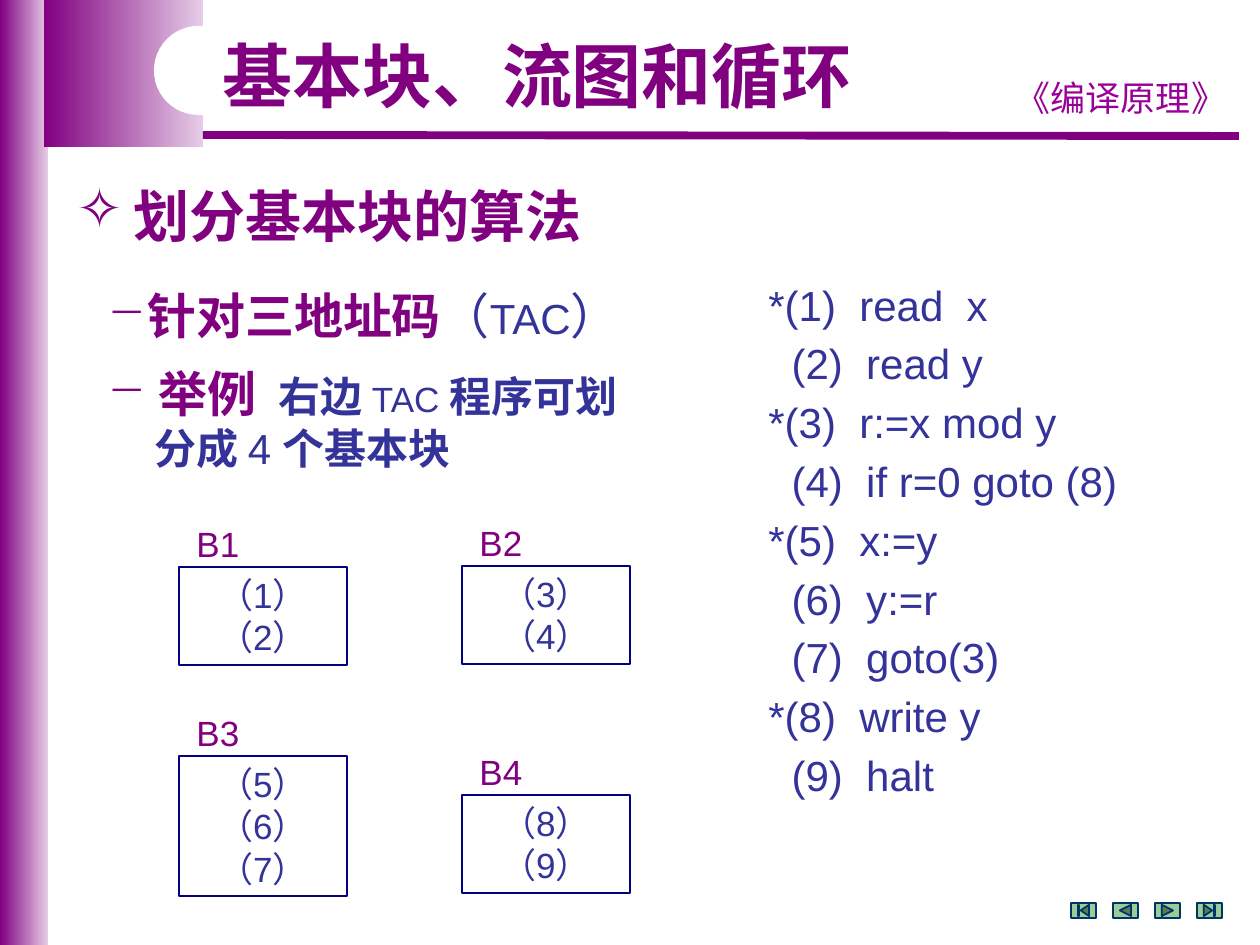
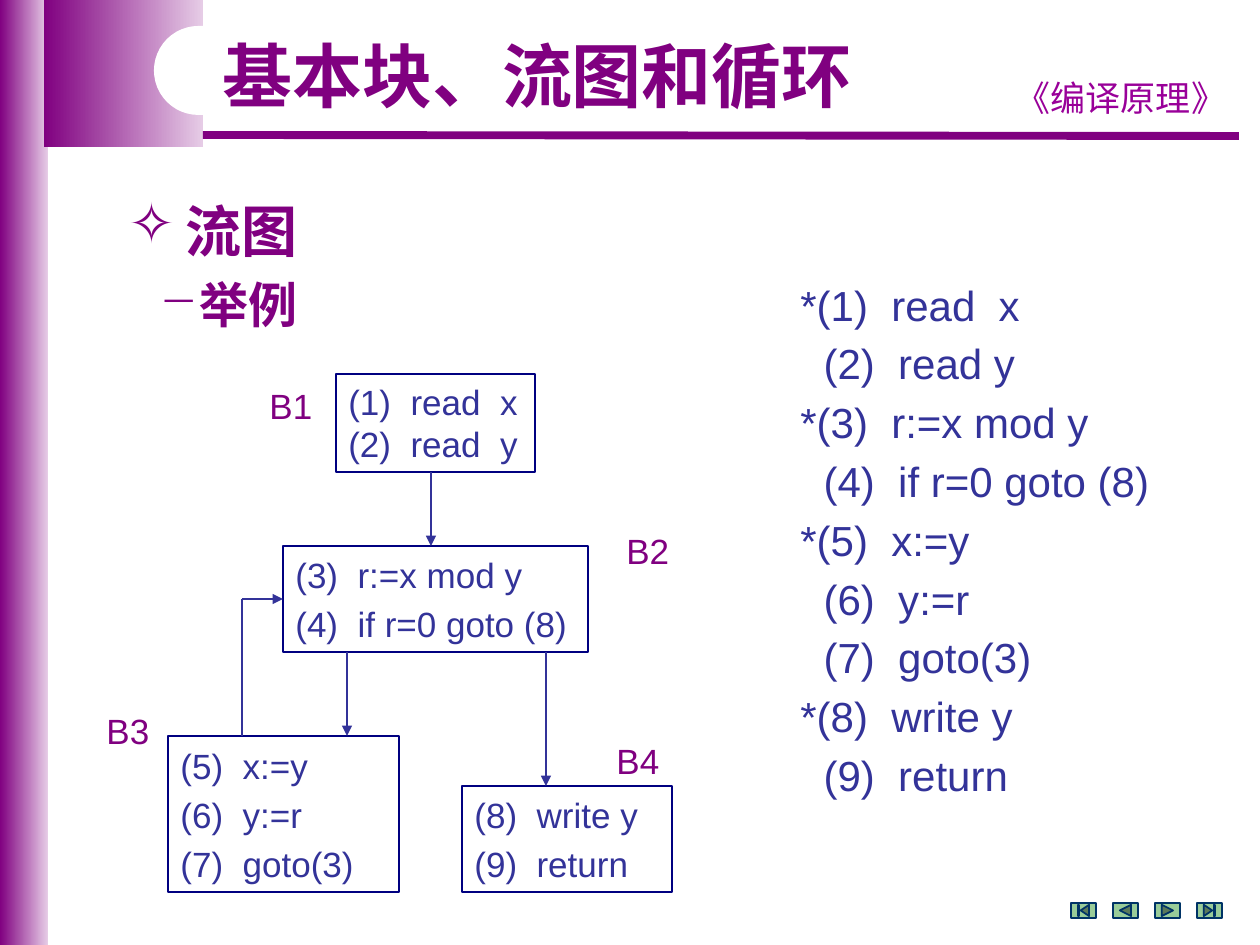
from lxml import etree
from pptx import Presentation
from pptx import util as u
from pptx.dml.color import RGBColor
from pptx.enum import shapes, text
from pptx.oxml import ns

SCALE = 914400 / 126
PURPLE = RGBColor(0x80, 0x00, 0x80)
LILAC = RGBColor(0xE6, 0xCC, 0xE6)
MAGENTA = RGBColor(0x99, 0x00, 0x99)
BLUE = RGBColor(0x33, 0x33, 0x99)
NAVY = RGBColor(0x00, 0x00, 0x80)
TEAL = RGBColor(0x00, 0x33, 0x66)
GREEN = RGBColor(0x99, 0xCC, 0x99)
WHITE = RGBColor(0xFF, 0xFF, 0xFF)
CJK = "Noto Sans CJK SC"

TITLE = dict(size=40, name="Arial", bold=True, color=PURPLE)
COURSE = dict(size=20, name="Comic Neue", color=MAGENTA)
HEAD = dict(size=32, name=CJK, bold=True, color=PURPLE)
ITEM = dict(HEAD, size=28)
CODE = dict(size=24, name="Arial", color=BLUE)
BOLD = dict(CODE, bold=True)
CELL = dict(CODE, size=20)
LABEL = dict(CELL, color=PURPLE)

KIND = shapes.MSO_SHAPE
BUTTONS = (KIND.ACTION_BUTTON_BEGINNING, KIND.ACTION_BUTTON_BACK_OR_PREVIOUS,
           KIND.ACTION_BUTTON_FORWARD_OR_NEXT, KIND.ACTION_BUTTON_END)
STEPS = ["*(1)  read  x", "  (2)  read y", "*(3)  r:=x mod y",
         "  (4)  if r=0 goto (8)", "*(5)  x:=y", "  (6)  y:=r",
         "  (7)  goto(3)", "*(8)  write y"]


def px(*vals):
    return [u.Emu(round(v * SCALE)) for v in vals]


def sub(node, tag, **attrs):
    return etree.SubElement(node, ns.qn("a:" + tag), attrs)


class Deck:
    def __init__(self):
        self.prs = Presentation()
        self.prs.slide_width, self.prs.slide_height = px(1260, 945)

    def para(self, frame, runs, first, lead=1.2, gap=0, align=None,
             left=0, hang=0, mark=None, tab=None):
        """Write (text, format) runs; lead is the line pitch in text sizes."""
        p = frame.paragraphs[0] if first else frame.add_paragraph()
        size = runs[0][1]["size"]
        p.line_spacing = u.Pt(round(size * lead, 1))
        p.space_before = u.Pt(0 if first else gap)
        if align:
            p.alignment = align
        props = p._p.get_or_add_pPr()
        if left:
            margin, indent = px(left, -hang)
            props.set("marL", str(margin))
            props.set("indent", str(indent))
        if mark:
            sub(sub(props, "buClr"), "srgbClr", val=str(PURPLE))
            sub(props, "buChar", char=mark)
        if tab:
            sub(sub(props, "tabLst"), "tab", pos=str(px(tab)[0]), algn="l")
        for words, form in runs:
            run = p.add_run()
            run.text = words
            for key, val in form.items():
                if key == "color":
                    run.font.color.rgb = val
                else:
                    setattr(run.font, key, u.Pt(val) if key == "size" else val)
            sub(run._r.get_or_add_rPr(), "ea", typeface=CJK)

    def text(self, at, *paras, wrap=True):
        """Each paragraph is a pair: its runs and its layout options."""
        frame = self.slide.shapes.add_textbox(*px(*at)).text_frame
        frame.word_wrap = wrap
        for i, (runs, opts) in enumerate(paras):
            self.para(frame, runs, i == 0, **opts)

    def shape(self, kind, at, fill=None, line=None, width=0.75):
        form = self.slide.shapes.add_shape(kind, *px(*at))
        form.shadow.inherit = False
        if fill:
            form.fill.solid()
            form.fill.fore_color.rgb = fill
        else:
            form.fill.background()
        if line:
            form.line.color.rgb = line
            form.line.width = u.Pt(width)
        else:
            form.line.fill.background()
        return form

    def fade(self, *at):
        fill = self.shape(KIND.RECTANGLE, at).fill
        fill.gradient()
        fill.gradient_angle = 0
        for stop, color, pos in zip(fill.gradient_stops, (PURPLE, LILAC), (0, 1)):
            stop.color.rgb = color
            stop.position = pos

    def block(self, at, lines, gap=0, align=None):
        form = self.shape(KIND.RECTANGLE, at, line=NAVY)
        frame = form.text_frame
        frame.word_wrap = True
        frame.vertical_anchor = text.MSO_ANCHOR.MIDDLE
        for i, words in enumerate(lines):
            self.para(frame, [(words, CELL)], i == 0, gap=gap,
                      align=align or text.PP_ALIGN.LEFT)
        return form

    def label(self, x, y, words):
        self.text((x, y, 70, 54), ([(words, LABEL)], {}), wrap=False)

    def line(self, *ends, color=BLUE, width=0.75, arrow=False):
        link = self.slide.shapes.add_connector(shapes.MSO_CONNECTOR.STRAIGHT,
                                               *px(*ends))
        link.line.color.rgb = color
        link.line.width = u.Pt(width)
        if arrow:
            sub(link.line._get_or_add_ln(), "tailEnd", type="triangle")
        sub(link._element.spPr, "effectLst")
        return link

    def page(self):
        """Start a slide with its bands, title and buttons."""
        self.slide = self.prs.slides.add_slide(self.prs.slide_layouts[6])
        self.fade(0, 0, 48, 945)
        self.fade(44, 0, 159, 147)
        self.line(203, 135, 1239, 136, color=PURPLE, width=4.5)
        self.text((997, 66, 248, 54), ([("《编译原理》", COURSE)],
                  dict(lead=1.33, align=text.PP_ALIGN.CENTER)))
        notch = self.shape(KIND.ROUNDED_RECTANGLE, (154, 26, 456, 89), WHITE)
        notch.adjustments[0] = 0.5
        self.text((210, 26, 683, 88), ([("基本块、流图和循环", TITLE)], {}))
        for i, kind in enumerate(BUTTONS):
            self.shape(kind, (1071 + 42 * i, 903, 25, 15), GREEN, TEAL, 1)

    def head(self, x, y, words):
        self.text((x, y, 713, 79), ([(words, HEAD)],
                  dict(lead=1.33, left=57, hang=57, mark="✧")))

    def steps(self, x, last):
        self.text((x, 273, 430, 557), *[
            ([(words, CODE)], dict(gap=4.8, left=48, hang=48))
            for words in STEPS + [last]])


DASH = dict(lead=1.33, left=40, hang=40, mark="−")


def blocks(deck):
    deck.page()
    deck.head(64, 168, "划分基本块的算法")
    paren = dict(CODE, size=28)
    deck.text(
        (95, 273, 588, 202),
        ([("针对三地址码", ITEM), ("（", paren), ("TAC", CODE), ("）", paren)], DASH),
        ([("举例\t", ITEM), ("右边 ", BOLD), ("TAC ", CELL), ("程序可划", BOLD)],
         dict(DASH, gap=7.5, left=51, hang=51, tab=171)),
        ([("分成 ", BOLD), ("4 ", CODE), ("个基本块", BOLD)], dict(left=47)))
    deck.steps(756, "  (9)  halt")
    for name, x, y, high, nums in (("B1", 179, 567, 98, "12"),
                                   ("B2", 462, 566, 98, "34"),
                                   ("B3", 179, 756, 140, "567"),
                                   ("B4", 462, 795, 98, "89")):
        deck.block((x, y, 168, high), [f"（{n}）" for n in nums],
                   align=text.PP_ALIGN.CENTER)
        deck.label(x + 5, y - 51, name)


def flow(deck):
    deck.page()
    deck.head(116, 183, "流图")
    deck.text((147, 262, 525, 72), ([("举例", ITEM)], DASH))
    deck.steps(788, "  (9)  return")
    deck.block((336, 374, 199, 98), ["(1)  read  x", "(2)  read  y"])
    test = deck.block((283, 546, 305, 106),
                      ["(3)  r:=x mod y", "(4)  if r=0 goto (8)"], 4)
    deck.block((168, 736, 231, 156),
               ["(5)  x:=y", "(6)  y:=r", "(7)  goto(3)"], 4)
    deck.block((462, 786, 210, 106), ["(8)  write y", "(9)  return"], 4)
    for name, x, y in (("B1", 257, 378), ("B2", 614, 523),
                       ("B3", 94, 703), ("B4", 604, 733)):
        deck.label(x, y, name)
    for x, top, end in ((431, 472, 546), (347, 652, 736), (546, 652, 786)):
        deck.line(x, top, x, end, arrow=True)
    deck.line(242, 736, 242, 599)
    deck.line(242, 599, 283, 599, arrow=True).end_connect(test, 1)


def main():
    deck = Deck()
    blocks(deck)
    flow(deck)
    deck.prs.save("out.pptx")


if __name__ == "__main__":
    main()
